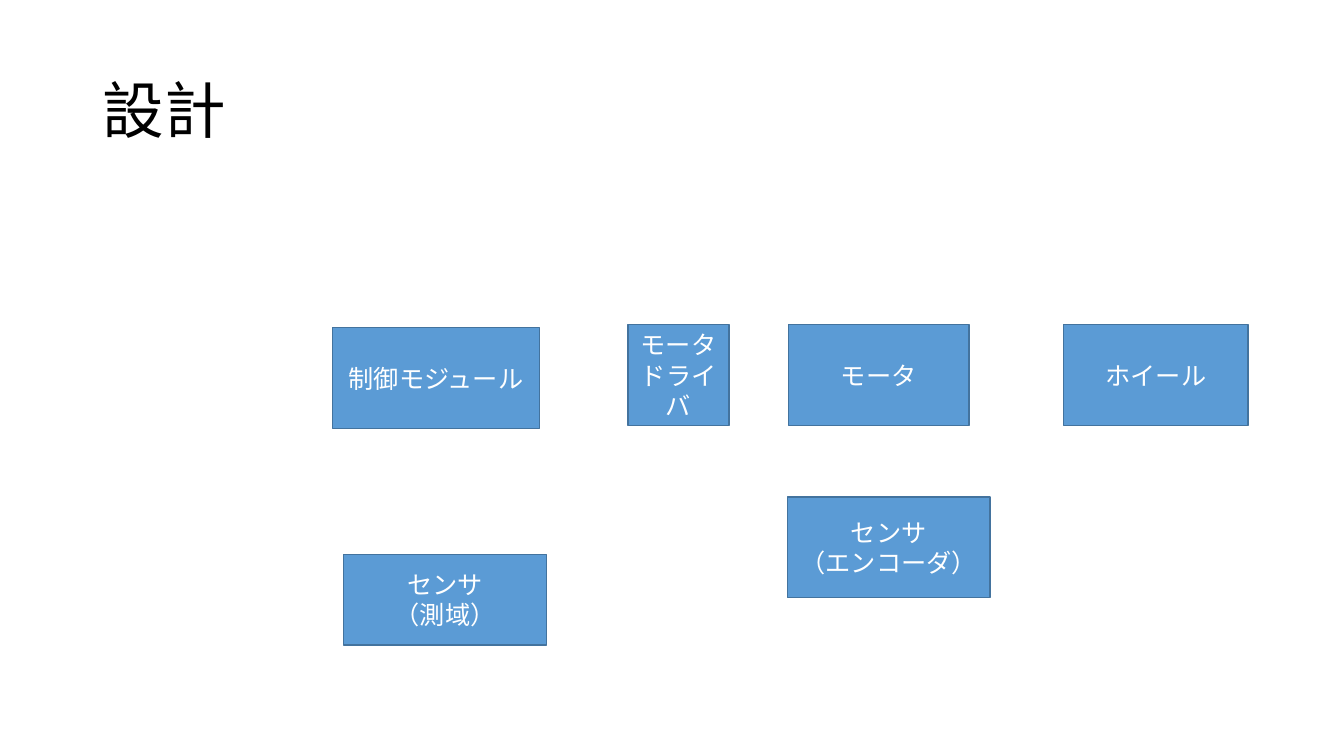
from lxml.etree import SubElement
from pptx import Presentation
from pptx.dml.color import RGBColor
from pptx.enum.shapes import MSO_SHAPE
from pptx.enum.text import MSO_ANCHOR, PP_ALIGN
from pptx.oxml.ns import qn
from pptx.util import Inches, Pt

FONT = "Noto Sans CJK JP"
BLACK = RGBColor(0x00, 0x00, 0x00)
WHITE = RGBColor(0xFF, 0xFF, 0xFF)
BLUE = RGBColor(0x5B, 0x9B, 0xD5)
DARK_BLUE = RGBColor(0x43, 0x73, 0x9E)


def format_text(shape, size, color, alignment):
    shape.text_frame.word_wrap = True
    shape.text_frame.vertical_anchor = MSO_ANCHOR.MIDDLE
    for para in shape.text_frame.paragraphs:
        para.alignment = alignment
        para.font.name = FONT
        para.font.size = Pt(size)
        para.font.color.rgb = color
        for properties in para._p.iter(qn("a:defRPr")):
            SubElement(properties, qn("a:ea"), typeface=FONT)


deck = Presentation()
deck.slide_width = Inches(13.33)
deck.slide_height = Inches(7.5)
page = deck.slides.add_slide(deck.slide_layouts[5])

title = page.shapes.title
title.left, title.top = Inches(0.92), Inches(0.4)
title.width, title.height = Inches(11.5), Inches(1.45)
title.text_frame.text = "設計"
title.text_frame.paragraphs[0].line_spacing = 0.9
format_text(title, 44, BLACK, PP_ALIGN.LEFT)

components = [
    ("制御モジュール", 3.3, 3.25, 2.05, 1),
    ("モータ", 7.82, 3.22, 1.79, 1),
    ("センサ\v（エンコーダ）", 7.81, 4.93, 2.01, 1),
    ("センサ\v（測域）", 3.41, 5.5, 2.01, 0.9),
    ("ホイール", 10.55, 3.22, 1.83, 1),
    ("モータドライバ", 6.23, 3.22, 1, 1),
]
for label, left, top, width, height in components:
    box = page.shapes.add_shape(
        MSO_SHAPE.RECTANGLE, Inches(left), Inches(top), Inches(width), Inches(height)
    )
    box.shadow.inherit = False
    box.fill.solid()
    box.fill.fore_color.rgb = BLUE
    box.line.color.rgb = DARK_BLUE
    box.line.width = Pt(1)
    box.text_frame.text = label
    format_text(box, 18, WHITE, PP_ALIGN.CENTER)

deck.save("out.pptx")
